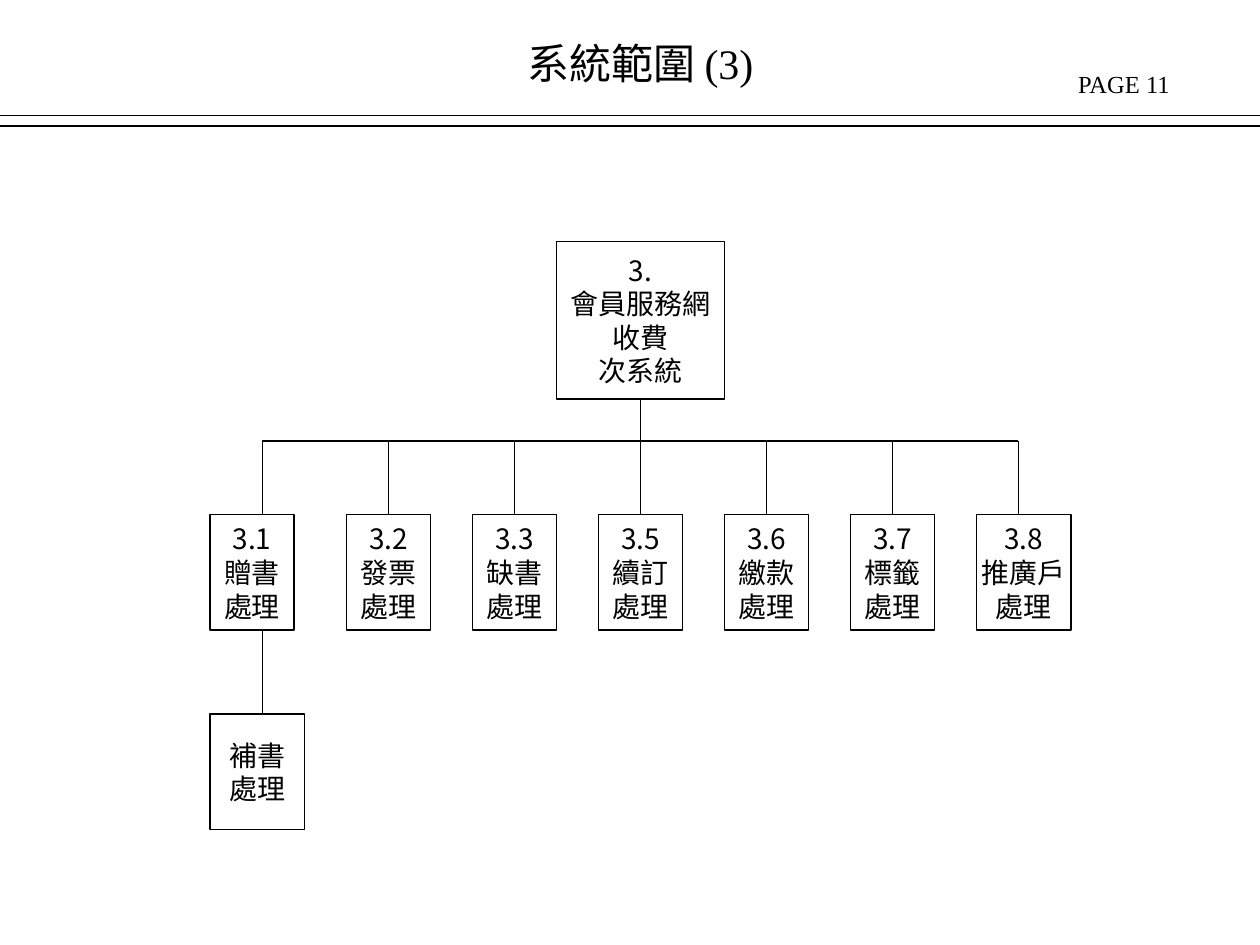
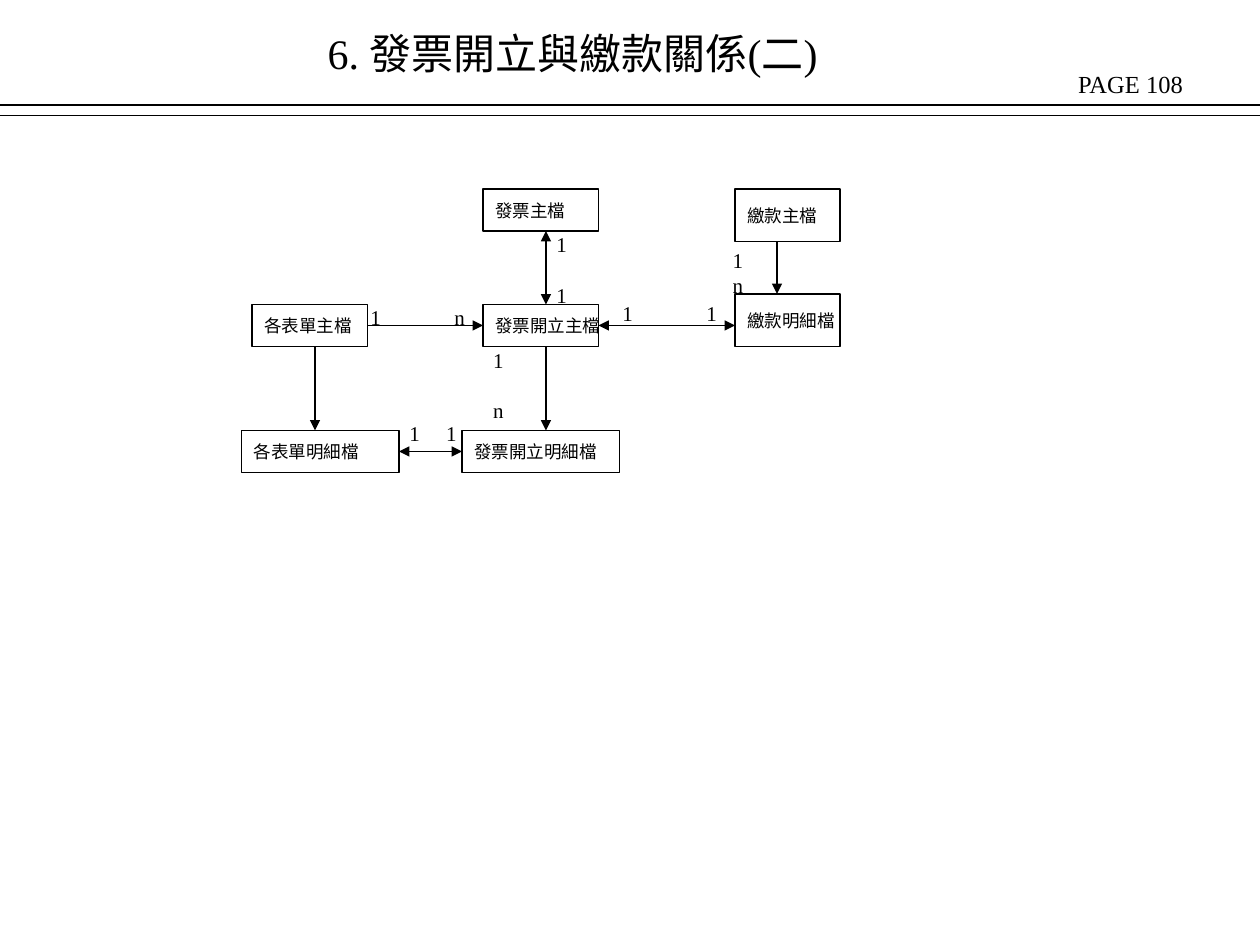
from pptx import Presentation
from pptx.dml.color import RGBColor
from pptx.enum.shapes import MSO_CONNECTOR, MSO_SHAPE
from pptx.enum.text import MSO_ANCHOR, MSO_AUTO_SIZE, PP_ALIGN
from pptx.oxml.ns import qn
from pptx.util import Inches, Pt
from lxml.etree import SubElement

# All positions and sizes are (left, top, width, height) in cells of 1/12 inch.
CELL = Inches(1) // 12
COLUMNS, ROWS = 120, 90
BLACK = RGBColor(0, 0, 0)
SERIF, SANS = "Times New Roman", "Noto Sans CJK SC"
LINE_WIDTH = Pt(0.75)
PAGE_AREA = (101.5, 6, 18, 4)

SCOPE = {
    "title": "系統範圍 (3)", "title_area": (49, 3, 33, 6),
    "page": "PAGE 11", "rule_row": 11,
}
ROOT = (["3.", "會員服務網", "收費", "次系統"], (53, 23, 16, 15))
PROCESSES = [  # lines, left, width
    (["3.1", "贈書", "處理"], 20, 8),
    (["3.2", "發票", "處理"], 33, 8),
    (["3.3", "缺書", "處理"], 45, 8),
    (["3.5", "續訂", "處理"], 57, 8),
    (["3.6", "繳款", "處理"], 69, 8),
    (["3.7", "標籤", "處理"], 81, 8),
    (["3.8", "推廣戶", "處理"], 93, 9),
]
REISSUE = (["補書", "處理"], (20, 68, 9, 11))
BUS_ROW, PROCESS_ROW, PROCESS_HEIGHT = 42, 49, 11
FIRST_DROP, DROP_STEP, ROOT_DROP = 25, 12, 61

RELATIONS = {
    "title": "6. 發票開立與繳款關係(二)", "title_area": (30, 2, 63, 6),
    "page": "PAGE 108", "rule_row": 10,
}
FILES = [
    ("發票主檔", (46, 18, 11, 4)),
    ("繳款主檔", (70, 18, 10, 5)),
    ("各表單主檔", (24, 29, 11, 4)),
    ("發票開立主檔", (46, 29, 11, 4)),
    ("繳款明細檔", (70, 28, 10, 5)),
    ("各表單明細檔", (23, 41, 15, 4)),
    ("發票開立明細檔", (44, 41, 15, 4)),
]
ARROWS = [  # start, end, arrowheads
    ((52, 33), (52, 41), ["tailEnd"]),
    ((30, 33), (30, 41), ["tailEnd"]),
    ((35, 31), (46, 31), ["tailEnd"]),
    ((74, 23), (74, 28), ["tailEnd"]),
    ((38, 43), (44, 43), ["headEnd", "tailEnd"]),
    ((52, 22), (52, 29), ["headEnd", "tailEnd"]),
    ((57, 31), (70, 31), ["headEnd", "tailEnd"]),
]
SIDE_LABELS = [  # first, second, area, cells between them
    ("1", "1", (37.8, 39.5, 7.2, 3.6), 3.5),
    ("1", "n", (34.1, 28.4, 12, 3.6), 8),
    ("1", "1", (58.1, 28, 12, 3.6), 8),
]
STACKED_LABELS = [  # lines, area, points between them
    (["1", "1"], (51.8, 21.5, 4, 8.4), 14.4),
    (["1", "n"], (45.8, 32.5, 15.4, 8.4), 14.4),
    (["1", "n"], (68.6, 23, 15.4, 6), 0),
]


def cells(*counts):
    return [round(count * CELL) for count in counts]


def write(shape, lines, size, font=SERIF, align=PP_ALIGN.LEFT,
          anchor=MSO_ANCHOR.TOP, wrap=True, gap=0):
    frame = shape.text_frame
    frame.auto_size = MSO_AUTO_SIZE.NONE
    frame.word_wrap = wrap
    frame.vertical_anchor = anchor
    for index, line in enumerate(lines):
        paragraph = frame.add_paragraph() if index else frame.paragraphs[0]
        paragraph.alignment = align
        paragraph.space_before = Pt(gap if index else 0)
        run = paragraph.add_run()
        run.text = line
        run.font.size = Pt(size)
        run.font.name = font
        run.font.color.rgb = BLACK
        SubElement(run.font._element, qn("a:ea"), typeface=SANS)


def add_label(slide, lines, area, size=12, gap=0):
    label = slide.shapes.add_textbox(*cells(*area))
    write(label, lines, size, gap=gap)
    return label


def add_box(slide, lines, area, sides, **text_style):
    """Draw a framed box and record the middle of each side in sides."""
    box = slide.shapes.add_shape(MSO_SHAPE.RECTANGLE, *cells(*area))
    box.shadow.inherit = False
    box.fill.background()
    box.line.color.rgb = BLACK
    box.line.width = LINE_WIDTH
    write(box, lines, anchor=MSO_ANCHOR.MIDDLE, wrap=False, **text_style)
    left, top, width, height = area
    middles = [(left + width / 2, top), (left, top + height / 2),
               (left + width / 2, top + height), (left + width, top + height / 2)]
    for site, middle in enumerate(middles):
        sides[middle] = (box, site)


def add_line(slide, start, end, sides=None, heads=()):
    """Draw a line, joined to a box wherever it ends at the middle of a side."""
    line = slide.shapes.add_connector(MSO_CONNECTOR.STRAIGHT, *cells(*start, *end))
    line.line.color.rgb = BLACK
    line.line.width = LINE_WIDTH
    for head in heads:
        SubElement(line.line._get_or_add_ln(), qn(f"a:{head}"), type="triangle")
    SubElement(line._element.spPr, qn("a:effectLst"))
    sides = sides or {}
    if start in sides:
        line.begin_connect(*sides[start])
    if end in sides:
        line.end_connect(*sides[end])


def add_headed_slide(presentation, heading):
    slide = presentation.slides.add_slide(presentation.slide_layouts[5])
    title = slide.shapes.title
    title.left, title.top, title.width, title.height = cells(*heading["title_area"])
    write(title, [heading["title"]], 24)
    add_label(slide, [heading["page"]], PAGE_AREA, size=14)
    for row in (heading["rule_row"], heading["rule_row"] + 1):
        add_line(slide, (0, row), (COLUMNS, row))
    return slide


def build_scope(presentation):
    slide = add_headed_slide(presentation, SCOPE)
    sides = {}
    boxes = [ROOT, REISSUE] + [
        (lines, (left, PROCESS_ROW, width, PROCESS_HEIGHT))
        for lines, left, width in PROCESSES]
    for lines, area in boxes:
        add_box(slide, lines, area, sides, size=16, font=SANS, align=PP_ALIGN.CENTER)

    drops = [FIRST_DROP + DROP_STEP * index for index in range(len(PROCESSES))]
    root_bottom = ROOT[1][1] + ROOT[1][3]
    add_line(slide, (ROOT_DROP, root_bottom), (ROOT_DROP, BUS_ROW), sides)
    add_line(slide, (drops[0], BUS_ROW), (drops[-1], BUS_ROW))
    for drop in drops:
        add_line(slide, (drop, BUS_ROW), (drop, PROCESS_ROW), sides)
    add_line(slide, (FIRST_DROP, PROCESS_ROW + PROCESS_HEIGHT),
             (FIRST_DROP, REISSUE[1][1]), sides)


def build_relations(presentation):
    slide = add_headed_slide(presentation, RELATIONS)
    sides = {}
    for name, area in FILES:
        add_box(slide, [name], area, sides, size=10)
    for start, end, heads in ARROWS:
        add_line(slide, start, end, sides, heads)
    for first, second, area, distance in SIDE_LABELS:
        label = add_label(slide, [f"{first}\t{second}"], area)
        properties = label.text_frame.paragraphs[0]._p.get_or_add_pPr()
        tabs = SubElement(properties, qn("a:tabLst"))
        SubElement(tabs, qn("a:tab"), pos=str(cells(distance)[0]), algn="l")
    for lines, area, gap in STACKED_LABELS:
        add_label(slide, lines, area, gap=gap)


def main():
    presentation = Presentation()
    presentation.slide_width, presentation.slide_height = cells(COLUMNS, ROWS)
    build_scope(presentation)
    build_relations(presentation)
    presentation.save("out.pptx")


if __name__ == "__main__":
    main()
